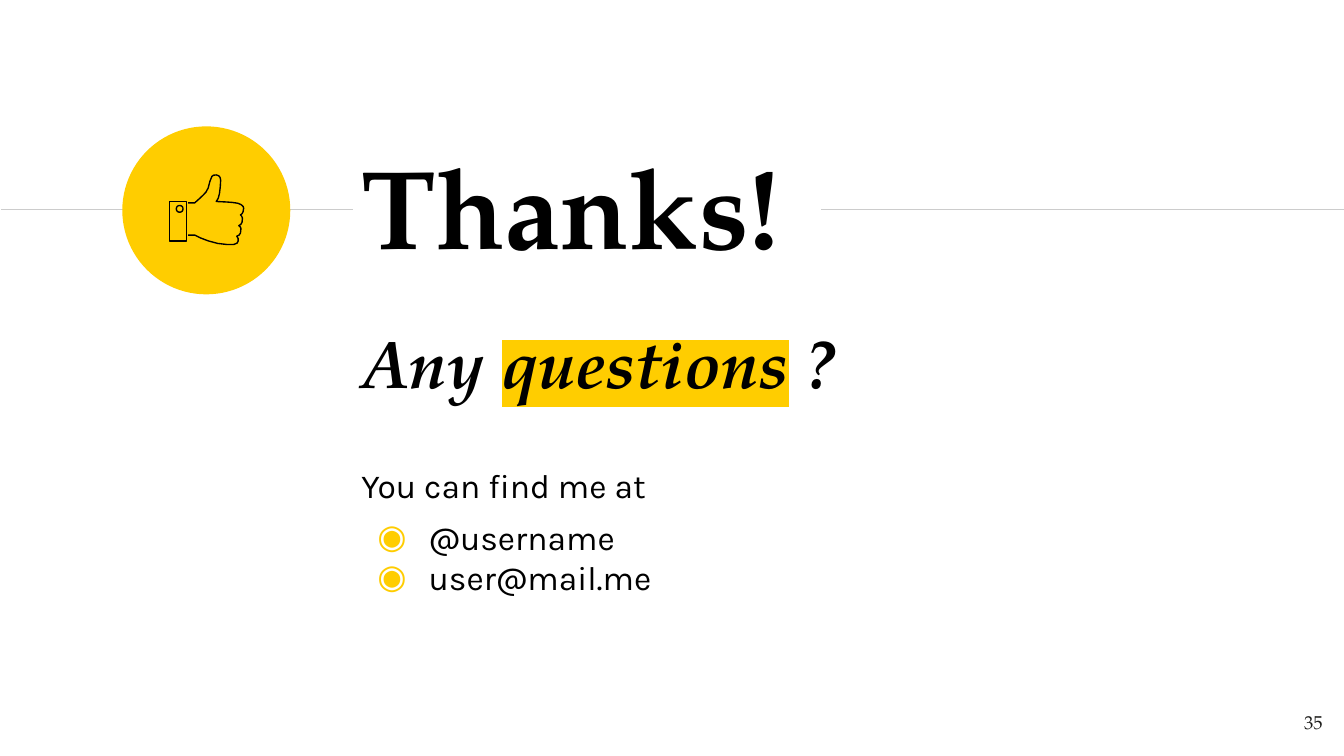
import math
from lxml import etree
from pptx import Presentation
from pptx.dml.color import RGBColor
from pptx.enum.shapes import MSO_CONNECTOR, MSO_SHAPE
from pptx.enum.text import MSO_ANCHOR, MSO_AUTO_SIZE, PP_ALIGN
from pptx.oxml.ns import qn
from pptx.util import Inches, Pt

LEFT, RIGHT = PP_ALIGN.LEFT, PP_ALIGN.RIGHT
TOP, MIDDLE = MSO_ANCHOR.TOP, MSO_ANCHOR.MIDDLE
OVAL, STRAIGHT = MSO_SHAPE.OVAL, MSO_CONNECTOR.STRAIGHT
NO_FIT = MSO_AUTO_SIZE.NONE

YELLOW = RGBColor(0xFF, 0xCD, 0x00)
BLACK = RGBColor(0, 0, 0)
INK = RGBColor(0x1D, 0x1D, 0x1B)
GREY = RGBColor(0xCC, 0xCC, 0xCC)
SERIF, SANS = "TeX Gyre Pagella", "Karla"

prs = Presentation()
W = Inches(10)
prs.slide_width, prs.slide_height = W, W * 9 // 16
s = prs.slides.add_slide(prs.slide_layouts[5])

RULE_Y = Inches(1.56)
TEXT_X = Inches(2.59)


def add_run(p, text, color=BLACK, **font):
    r = p.add_run()
    r.text = text
    r.font.color.rgb = color
    for name, value in font.items():
        setattr(r.font, name, value)
    return r


def set_frame(sp, box, anchor=TOP):
    sp.left, sp.top, sp.width, sp.height = box
    tf = sp.text_frame
    fmt = {"word_wrap": True, "auto_size": NO_FIT, "vertical_anchor": anchor}
    for side in ("left", "top", "right", "bottom"):
        fmt["margin_" + side] = Inches(0.1)
    for name, value in fmt.items():
        setattr(tf, name, value)
    return tf


for x1, x2 in ((Inches(0.01), Inches(2.63)), (Inches(6.11), W)):
    line = s.shapes.add_connector(STRAIGHT, x1, RULE_Y, x2, RULE_Y)
    line.line.color.rgb = GREY
    line.line.width = Pt(0.75)
    etree.SubElement(line._element.spPr, qn("a:effectLst"))

tf = set_frame(s.shapes.title, (TEXT_X, Inches(0.89), Inches(5.37), Inches(1.27)), MIDDLE)
p = tf.paragraphs[0]
p.alignment = LEFT
add_run(p, "Thanks!", name=SERIF, size=Pt(60), bold=True)

box = (TEXT_X, Inches(2.29), Inches(5.49), Inches(0.86))
tf = set_frame(s.shapes.add_textbox(*box), box)
p = tf.paragraphs[0]
p.space_before = Pt(6)
for text in ("Any ", "questions", " ?"):
    r = add_run(p, text, name=SERIF, size=Pt(36), bold=True, italic=True)
    if text == "questions":
        highlight = etree.Element(qn("a:highlight"))
        etree.SubElement(highlight, qn("a:srgbClr"), val=str(YELLOW))
        r.font._element.find(qn("a:latin")).addprevious(highlight)

contacts = (("You can find me at", 34, False), ("@username", 6, True), ("user@mail.me", 0, True))
for text, before, bulleted in contacts:
    p = tf.add_paragraph()
    p.space_before = Pt(before)
    add_run(p, text, name=SANS, size=Pt(18))
    if bulleted:
        pPr = p._p.get_or_add_pPr()
        pPr.set("marL", str(Inches(0.5)))
        pPr.set("indent", str(Inches(-0.38)))
        color = etree.SubElement(pPr, qn("a:buClr"))
        etree.SubElement(color, qn("a:srgbClr"), val=str(YELLOW))
        etree.SubElement(pPr, qn("a:buFont"), typeface=SANS)
        etree.SubElement(pPr, qn("a:buChar"), char="◉")

D = Inches(1.25)
disc = s.shapes.add_shape(OVAL, Inches(0.91), Inches(0.94), D, D)
disc.shadow.inherit = False
disc.fill.solid()
disc.fill.fore_color.rgb = YELLOW
disc.line.fill.background()

cuff = [(126, 150), (126, 179.5), (139, 179.5), (139, 150)]
button = [(133.8 + 2.5 * math.cos(a * math.pi / 12), 155.5 + 2.5 * math.sin(a * math.pi / 12))
          for a in range(24)]
hand = [
    (140, 175), (145, 175), (149, 177), (155, 179.3), (162, 181.2), (169, 182), (174, 182),
    (176.5, 181), (177.3, 179.5), (177.3, 177.5), (176.3, 175.8), (178, 175), (179, 173.5),
    (179.4, 170), (178.8, 168.8), (177.8, 168), (179.3, 167), (180.2, 165.5), (180.5, 162.5),
    (180, 161), (179, 160), (180.3, 159), (181, 157.5), (181.4, 155), (181, 153.6),
    (179.5, 152.3), (177, 151.3), (173, 150.7), (169, 150.4), (161, 150), (162.5, 147.5),
    (163.4, 144), (164, 139), (164.3, 134), (163.8, 132), (162.8, 130.8), (161, 130.2),
    (159, 130.4), (157.8, 131.3), (156.3, 135), (155, 140), (153.2, 143.2), (151, 145.5),
    (148, 148.3), (145, 151), (140, 151),
]
for outlines, close in (((cuff, button), True), ((hand,), False)):
    fb = None
    for outline in outlines:
        pts = [(x * 10, y * 10) for x, y in outline]
        if fb is None:
            fb = s.shapes.build_freeform(*pts[0], scale=Inches(0.001))
        else:
            fb.move_to(*pts[0])
        fb.add_line_segments(pts[1:], close=close)
    sp = fb.convert_to_shape()
    sp.shadow.inherit = False
    sp.fill.background()
    sp.line.color.rgb = BLACK
    sp.line.width = Pt(0.75)

box = (Inches(9.34), Inches(5.19), Inches(0.6), Inches(0.43))
p = set_frame(s.shapes.add_textbox(*box), box).paragraphs[0]
p.alignment = RIGHT
add_run(p, "35", INK, name=SERIF, size=Pt(10))

prs.save("out.pptx")
